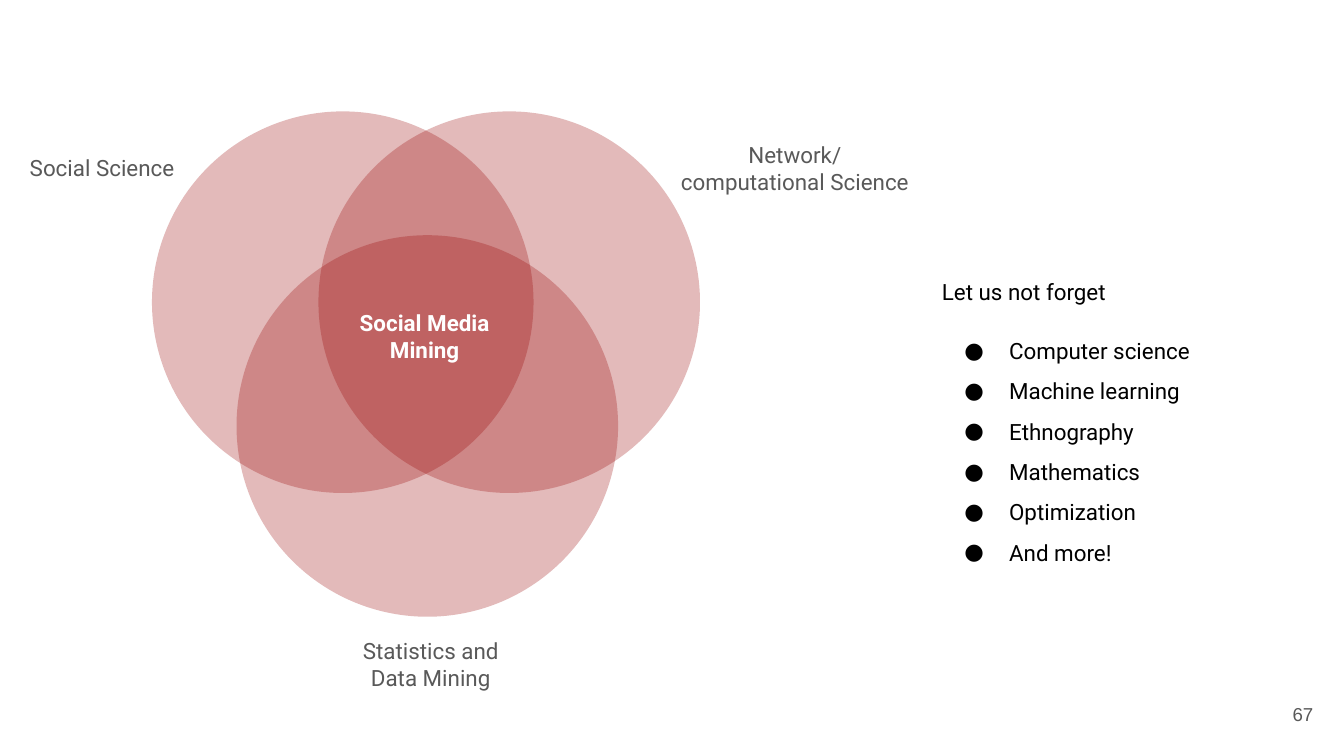
"""Build a slide with a three-circle Venn diagram of social media mining."""
import dataclasses

import lxml.etree
import pptx
import pptx.dml.color
import pptx.enum.shapes
import pptx.enum.text
import pptx.oxml.ns
import pptx.util

Pt = pptx.util.Pt
Align = pptx.enum.text.PP_ALIGN
Anchor = pptx.enum.text.MSO_ANCHOR
qn = pptx.oxml.ns.qn


@dataclasses.dataclass(frozen=True)
class Theme:
    circle: str = "980000"
    circle_opacity: int = 27
    label: str = "595959"
    core: str = "FFFFFF"
    body: str = "000000"
    font: str = "Roboto"
    number_font: str = "Arial"
    text_size: int = 12
    number_size: int = 10
    inset: float = 7.2


THEME = Theme()
CIRCLE_SIZE = 204.4
CIRCLES = [(81.4, 59.7), (170.6, 59.7), (126.7, 126)]
LABELS = [
    ("Social Science", (8.6, 77, 92.2, 25.9)),
    ("Network/computational Science", (357.1, 77, 137.5, 25.9)),
    ("Statistics and Data Mining", (176.4, 342.7, 108.7, 25.9)),
]
FIELDS = ["Computer science", "Machine learning", "Ethnography",
          "Mathematics", "Optimization", "And more!"]


def rgb(color):
    """Turn a hexadecimal string into a colour."""
    return pptx.dml.color.RGBColor.from_string(color)


def add_circle(slide, left, top):
    """Add one translucent circle without an outline."""
    shape = slide.shapes.add_shape(
        pptx.enum.shapes.MSO_SHAPE.OVAL,
        Pt(left), Pt(top), Pt(CIRCLE_SIZE), Pt(CIRCLE_SIZE))
    shape.shadow.inherit = False
    shape.line.fill.background()
    shape.fill.solid()
    shape.fill.fore_color.rgb = rgb(THEME.circle)
    color = shape.fill._xPr.find(".//" + qn("a:srgbClr"))
    alpha = lxml.etree.SubElement(color, qn("a:alpha"))
    alpha.set("val", str(THEME.circle_opacity * 1000))


def format_paragraph(paragraph, color, size=THEME.text_size, font=THEME.font, bold=False):
    """Apply one type style to every run of a paragraph."""
    for run in paragraph.runs:
        run.font.name = font
        run.font.size = Pt(size)
        run.font.bold = bold
        run.font.color.rgb = rgb(color)


def add_text_frame(slide, box, anchor=Anchor.MIDDLE):
    """Add a wrapping text box and return its text frame."""
    text_frame = slide.shapes.add_textbox(*map(Pt, box)).text_frame
    text_frame.word_wrap = True
    text_frame.vertical_anchor = anchor
    for side in ("left", "top", "right", "bottom"):
        setattr(text_frame, f"margin_{side}", Pt(THEME.inset))
    return text_frame


def add_label(slide, text, box, color, align=Align.CENTER, **style):
    """Add a single-paragraph text box."""
    text_frame = add_text_frame(slide, box)
    text_frame.text = text
    paragraph = text_frame.paragraphs[0]
    paragraph.alignment = align
    format_paragraph(paragraph, color, **style)


def add_bullet(paragraph):
    """Give a paragraph a round bullet with a hanging indent."""
    properties = paragraph._p.get_or_add_pPr()
    properties.set("marL", str(Pt(36)))
    properties.set("indent", str(-Pt(24)))
    color = lxml.etree.SubElement(properties, qn("a:buClr"))
    lxml.etree.SubElement(color, qn("a:srgbClr")).set("val", THEME.body)
    lxml.etree.SubElement(properties, qn("a:buFont")).set("typeface", THEME.font)
    lxml.etree.SubElement(properties, qn("a:buChar")).set("char", "●")


def add_list(slide, heading, items, box):
    """Add a heading followed by bulleted items."""
    text_frame = add_text_frame(slide, box, Anchor.TOP)
    text_frame.text = "\n".join([heading, *items])
    first, *bulleted = text_frame.paragraphs
    for paragraph in bulleted:
        add_bullet(paragraph)
    bulleted[0].space_before = Pt(10)
    for paragraph in (first, *bulleted):
        paragraph.line_spacing = 1.5
        format_paragraph(paragraph, THEME.body)


def main():
    """Build and save the slide."""
    presentation = pptx.Presentation()
    presentation.slide_width, presentation.slide_height = Pt(720), Pt(405)
    slide = presentation.slides.add_slide(presentation.slide_layouts[6])
    for left, top in CIRCLES:
        add_circle(slide, left, top)
    for text, box in LABELS:
        add_label(slide, text, box, THEME.label)
    add_label(slide, "Social Media Mining", (181.4, 162.7, 92.2, 34.6),
              THEME.core, bold=True)
    add_label(slide, "67", (667.4, 367.2, 43.2, 31), THEME.label, Align.RIGHT,
              size=THEME.number_size, font=THEME.number_font)
    add_list(slide, "Let us not forget", FIELDS, (497.5, 134.6, 198, 225.4))
    presentation.save("out.pptx")


if __name__ == "__main__":
    main()
